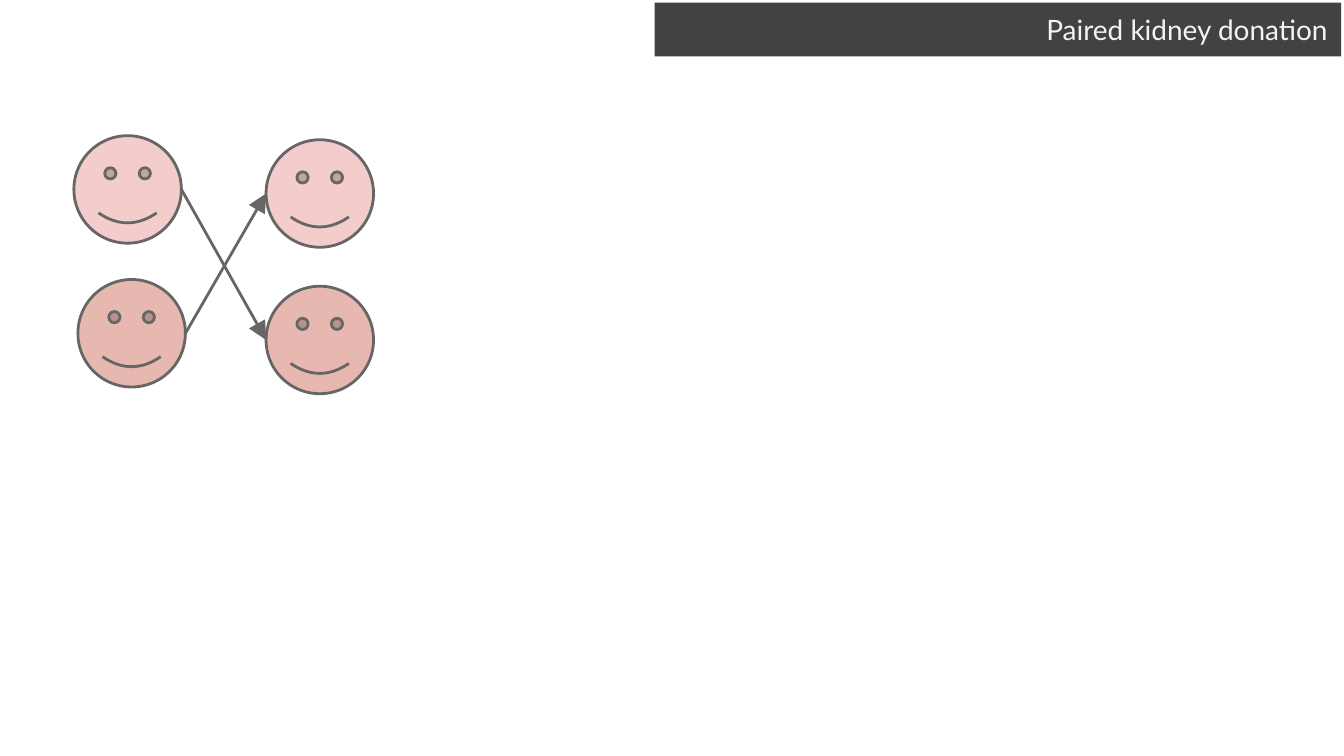
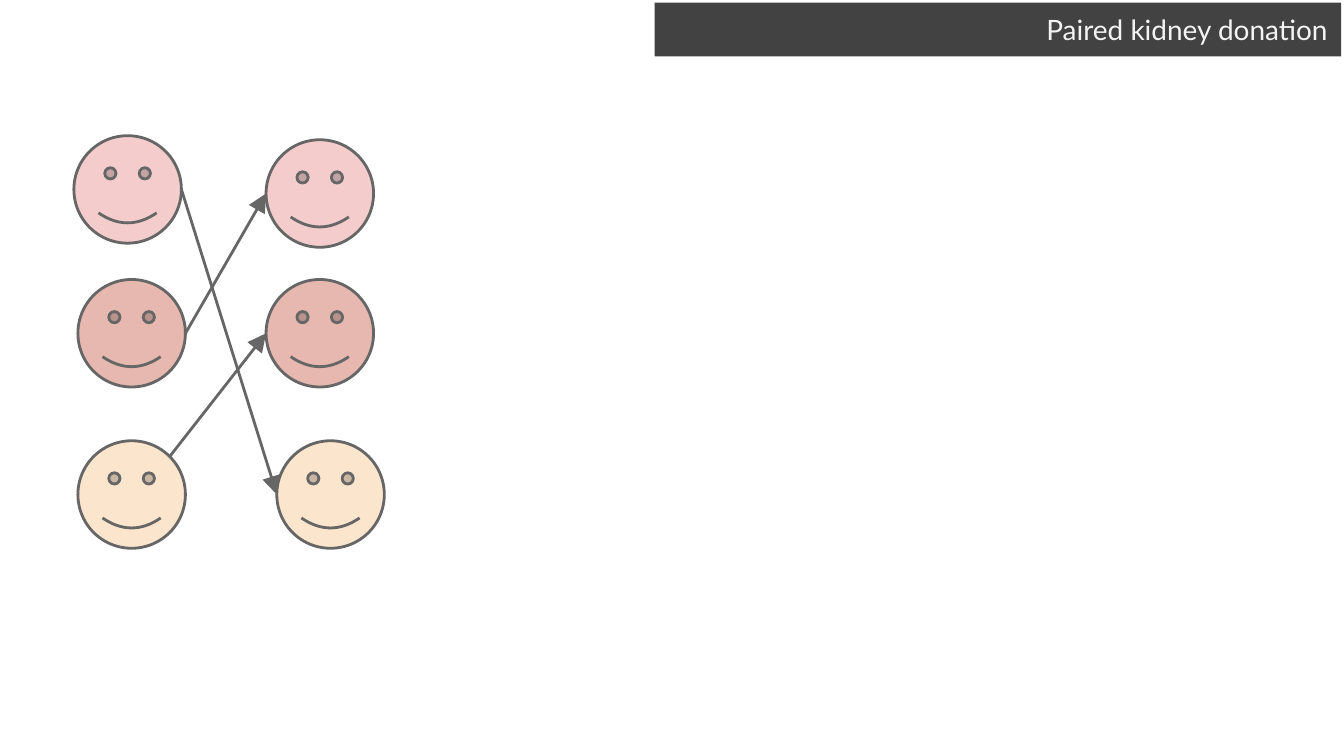
from math import cos, radians, sin

from lxml import etree
from pptx import Presentation
from pptx.dml.color import RGBColor
from pptx.enum import shapes, text
from pptx.oxml.ns import qn
from pptx.util import Inches, Pt

BLACK = RGBColor(0x00, 0x00, 0x00)
PALE = RGBColor(0xF3, 0xF3, 0xF3)
GREY = RGBColor(0x66, 0x66, 0x66)
PINK = RGBColor(0xF4, 0xCC, 0xCC)
ROSE = RGBColor(0xE6, 0xB8, 0xAF)
CREAM = RGBColor(0xFC, 0xE5, 0xCD)

FONT = "Lato"
TITLE = "Paired kidney donation"
WIDE = Inches(10)
HIGH = WIDE * 9 // 16
SIZE = 0.8
LEFT, RIGHT, UPPER = 180, 0, -45

# Each pair: colour, donor (left, top), patient (left, top)
TWO = [
    (PINK, (0.55, 1.01), (1.98, 1.04)),
    (ROSE, (0.58, 2.08), (1.98, 2.13)),
]
THREE = [
    TWO[0],
    (ROSE, (0.58, 2.08), (1.98, 2.08)),
    (CREAM, (0.58, 3.28), (2.06, 3.28)),
]
# Each gift: donor's pair, angle where the arrow leaves, patient's pair
SWAP = [(0, RIGHT, 1), (1, RIGHT, 0)]
CHAIN = [(0, RIGHT, 2), (2, UPPER, 1), (1, RIGHT, 0)]


def add_title(slide):
    """Fill the title and turn it into the dark band at the top right."""
    band = slide.shapes.title
    band.left, band.top = Inches(4.87), Inches(0.02)
    band.width, band.height = Inches(5.11), Inches(0.4)
    band.fill.solid()
    band.fill.fore_color.rgb = BLACK
    color = band.fill._xPr.find(qn("a:solidFill"))[0]
    etree.SubElement(color, qn("a:alpha"), val="74000")

    frame = band.text_frame
    frame.text = TITLE
    frame.word_wrap = True
    frame.auto_size = text.MSO_AUTO_SIZE.NONE
    frame.vertical_anchor = text.MSO_ANCHOR.MIDDLE
    frame.margin_left = frame.margin_right = Inches(0.1)
    frame.margin_top = frame.margin_bottom = Inches(0.1)
    para = frame.paragraphs[0]
    para.alignment = text.PP_ALIGN.RIGHT
    font = para.runs[0].font
    font.name, font.size = FONT, Pt(15)
    font.color.rgb = PALE


def set_line(line):
    line.color.rgb = GREY
    line.width = Pt(1.5)


def add_face(slide, spot, color):
    left, top = spot
    face = slide.shapes.add_shape(
        shapes.MSO_SHAPE.SMILEY_FACE,
        Inches(left), Inches(top), Inches(SIZE), Inches(SIZE))
    face.shadow.inherit = False
    face.fill.solid()
    face.fill.fore_color.rgb = color
    set_line(face.line)


def rim(spot, angle):
    """Point on a face's outline, with angles running clockwise from the right."""
    half = SIZE / 2
    turn = radians(angle)
    return (Inches(spot[0] + half + half * cos(turn)),
            Inches(spot[1] + half + half * sin(turn)))


def add_arrow(slide, start, end):
    arrow = slide.shapes.add_connector(
        shapes.MSO_CONNECTOR.STRAIGHT, *start, *end)
    set_line(arrow.line)
    etree.SubElement(arrow.line._get_or_add_ln(), qn("a:tailEnd"),
                     type="triangle", w="lg", len="lg")
    etree.SubElement(arrow._element.spPr, qn("a:effectLst"))


def add_scheme(deck, pairs, gifts):
    slide = deck.slides.add_slide(deck.slide_layouts[5])
    add_title(slide)
    for color, donor, patient in pairs:
        add_face(slide, donor, color)
        add_face(slide, patient, color)
    for giver, angle, taker in gifts:
        donor, patient = pairs[giver][1], pairs[taker][2]
        add_arrow(slide, rim(donor, angle), rim(patient, LEFT))


def main():
    deck = Presentation()
    deck.slide_width, deck.slide_height = WIDE, HIGH
    add_scheme(deck, TWO, SWAP)
    add_scheme(deck, THREE, CHAIN)
    deck.save("out.pptx")


if __name__ == "__main__":
    main()
